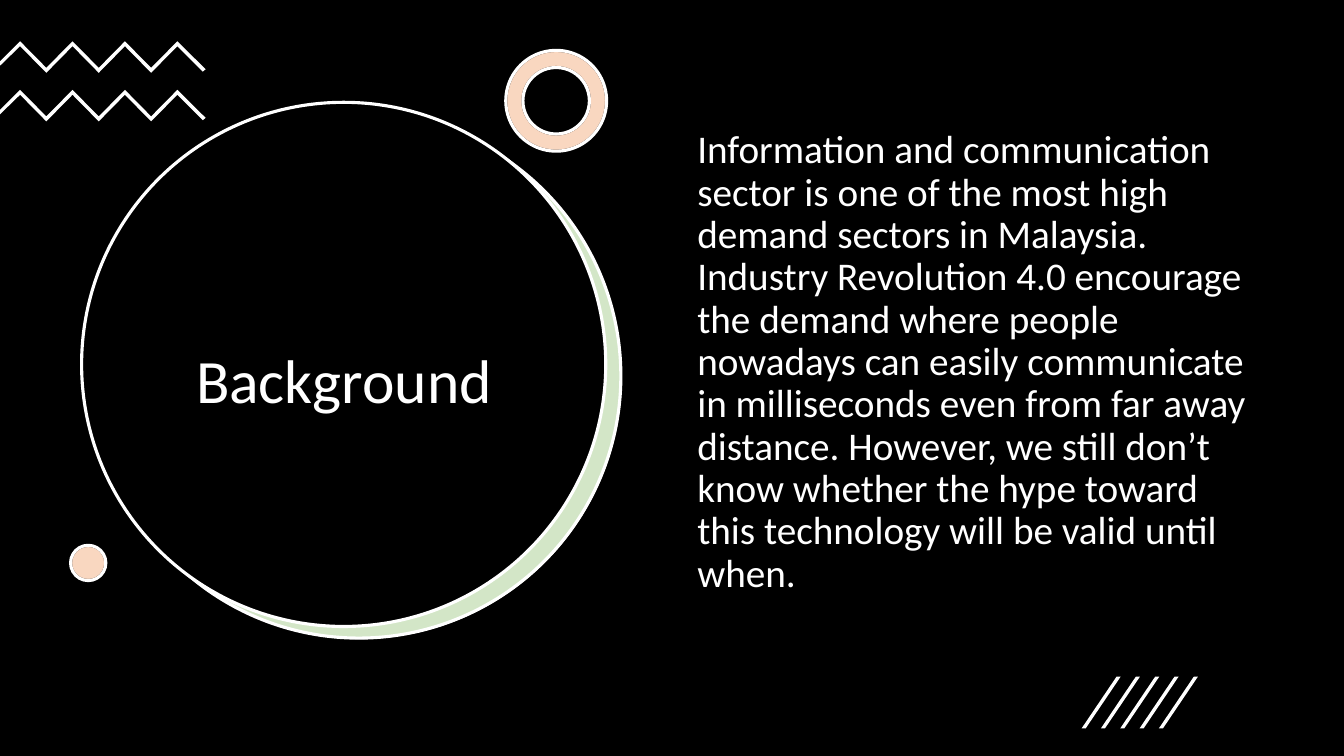
from pptx import Presentation
from pptx.dml.color import RGBColor
from pptx.enum.shapes import MSO_SHAPE
from pptx.enum.text import MSO_ANCHOR, PP_ALIGN
from pptx.oxml.ns import qn
from pptx.util import Pt
from lxml import etree

RECT, OVAL, DONUT = MSO_SHAPE.RECTANGLE, MSO_SHAPE.OVAL, MSO_SHAPE.DONUT
TOP, MIDDLE = MSO_ANCHOR.TOP, MSO_ANCHOR.MIDDLE
LEFT, CENTER = PP_ALIGN.LEFT, PP_ALIGN.CENTER

TITLE = "Background"
BODY = (
    "Information and communication sector is one of the most high demand "
    "sectors in Malaysia. Industry Revolution 4.0 encourage the demand where "
    "people nowadays can easily communicate in milliseconds even from far away "
    "distance. However, we still don’t know whether the hype toward this "
    "technology will be valid until when."
)

THEME = {
    "font": "Calibri", "title": 44, "body": 28, "line": 2.25, "tint": 30,
    "black": "000000", "white": "FFFFFF", "green": "70AD47", "orange": "ED7D31",
}

WIDE, HIGH = 960, 540
DISC = 374.4
RING = (361.3, 36, 72, 72)
DOT = (50.4, 389.5, 25.2, 25.2)

# kind, box, fill, tinted, line
DISCS = [
    (RECT, (0, 0, WIDE, HIGH), "black", False, None),
    (OVAL, (69.8, 82.1, DISC, DISC), "white", False, None),
    (OVAL, (69.1, 81.4, DISC, DISC), "green", True, "white"),
    (OVAL, (58.3, 73.1, DISC, DISC), "black", False, "white"),
]
ACCENTS = [
    (kind, box, fill, tint, line)
    for kind, box in ((DONUT, RING), (OVAL, DOT))
    for fill, tint, line in (("white", False, "black"), ("orange", True, "white"))
]

ZIG = {"tops": (29.5, 64.2), "left": 14.4, "step": 18.72, "drop": 19, "thick": 3.5}
DASH = {"count": 5, "left": 772.6, "step": 13.8, "top": 483.3,
        "high": 37, "lean": 25, "thick": 2.9}


def color(name):
    return RGBColor.from_string(THEME[name])


def paint(shape, fill, tint=False, line=None):
    shape.shadow.inherit = False
    shape.fill.solid()
    shape.fill.fore_color.rgb = color(fill)
    if tint:
        tone = shape.fill._xPr.find(qn("a:solidFill"))[0]
        etree.SubElement(tone, qn("a:alpha")).set("val", str(THEME["tint"] * 1000))
    if line:
        shape.line.color.rgb = color(line)
        shape.line.width = Pt(THEME["line"])
    else:
        shape.line.fill.background()


def draw(shapes, items):
    for kind, box, *look in items:
        shape = shapes.add_shape(kind, *map(Pt, box))
        if kind == DONUT:
            shape.adjustments[0] = 0.17
        paint(shape, *look)


def outline(shapes, points):
    spots = [(Pt(x), Pt(y)) for x, y in points]
    form = shapes.build_freeform(*spots[0])
    form.add_line_segments(spots[1:], close=True)
    paint(form.convert_to_shape(), "white")


def zigzag(top):
    ridge = [(ZIG["left"] + i * ZIG["step"], top + i % 2 * ZIG["drop"])
             for i in range(7)]
    under = [(x, y + ZIG["thick"]) for x, y in reversed(ridge)]
    tip = [(146.9, top + 20), (144.9, top + 21.7)]
    tail = [(0, top + 17.5), (0, top + 14.4)]
    return ridge + tip + under + tail


def dash(i):
    x, y = DASH["left"] + i * DASH["step"], DASH["top"]
    low, over, thick = y + DASH["high"], x + DASH["lean"], DASH["thick"]
    return [(x + thick, low), (x, low), (over, y), (over + thick, y)]


def write(shapes, text, box, size, anchor, para):
    frame = shapes.add_textbox(*map(Pt, box)).text_frame
    frame.word_wrap = True
    frame.vertical_anchor = anchor
    line = frame.paragraphs[0]
    for key, value in para.items():
        setattr(line, key, value)
    run = line.add_run()
    run.text = text
    for key, value in {"name": THEME["font"], "size": Pt(THEME[size])}.items():
        setattr(run.font, key, value)
    run.font.color.rgb = color("white")


def main():
    deck = Presentation()
    deck.slide_width, deck.slide_height = Pt(WIDE), Pt(HIGH)
    shapes = deck.slides.add_slide(deck.slide_layouts[6]).shapes
    draw(shapes, DISCS)
    write(shapes, TITLE, (87.1, 147.6, 317.5, 253.4), "title", MIDDLE,
          {"alignment": CENTER, "line_spacing": 0.9})
    waves = shapes.add_group_shape().shapes
    for top in ZIG["tops"]:
        outline(waves, zigzag(top))
    draw(shapes, ACCENTS)
    write(shapes, BODY, (491, 89.3, 411.1, 342.7), "body", TOP,
          {"alignment": LEFT, "line_spacing": 0.9, "space_before": Pt(10)})
    dashes = shapes.add_group_shape().shapes
    for i in range(DASH["count"]):
        outline(dashes, dash(i))
    deck.save("out.pptx")


if __name__ == "__main__":
    main()
